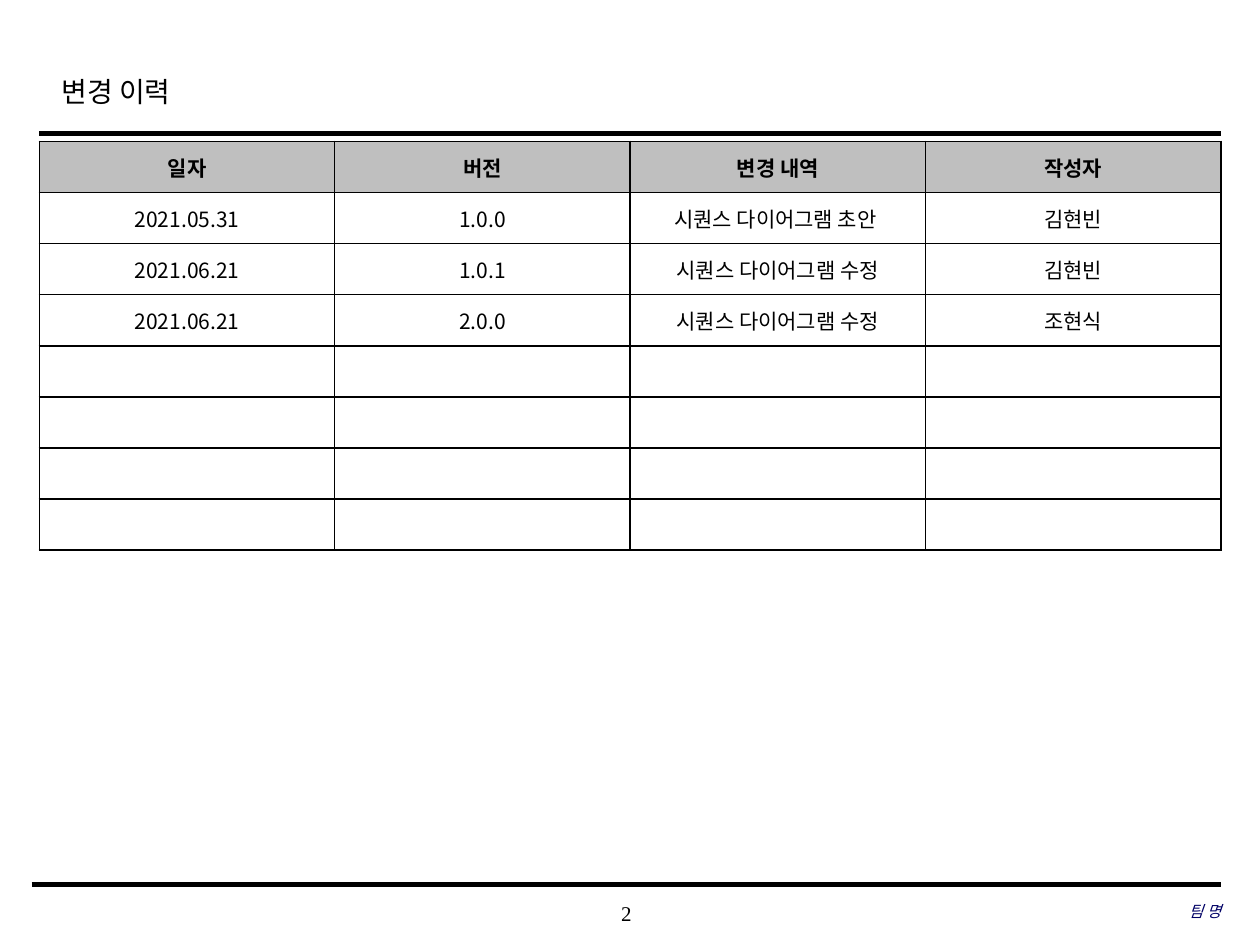
from dataclasses import dataclass

import pptx
import pptx.dml.color
import pptx.enum.shapes
import pptx.enum.text
import pptx.oxml
import pptx.oxml.ns
import pptx.util

Pt = pptx.util.Pt
RGBColor = pptx.dml.color.RGBColor
Align = pptx.enum.text.PP_ALIGN
Anchor = pptx.enum.text.MSO_ANCHOR

BLACK = RGBColor(0x00, 0x00, 0x00)
WHITE = RGBColor(0xFF, 0xFF, 0xFF)
GRAY = RGBColor(0xBF, 0xBF, 0xBF)
NAVY = RGBColor(0x00, 0x00, 0x66)
SERIF = "Times New Roman"
KOREAN = "Noto Sans CJK KR"
RULE_LEFT, RULE_RIGHT = 22.5, 697.7
COLUMN_WIDTH = (RULE_RIGHT - RULE_LEFT) / 4
ROW_HEIGHT = 29.2
BLANK_ROWS = 4


@dataclass
class Label:
    text: str
    left: float
    top: float
    width: float
    height: float
    size: float
    align: Align
    anchor: Anchor = Anchor.MIDDLE
    margins: tuple[float, float] = (0, 0)
    line_spacing: float = 1.0
    color: RGBColor = BLACK
    italic: bool = False


@dataclass
class Rule:
    left: float
    y: float
    width: float


LABELS = [
    Label("변경 이력", 28.1, 35.3, 543.6, 36, 16, Align.LEFT, Anchor.TOP, (7.2, 3.6), 1.2),
    Label("2", 283, 509.8, 149.8, 23.8, 12, Align.CENTER),
    Label("팀 명", 477.4, 509, 220.3, 23.8, 9, Align.RIGHT, color=NAVY, italic=True),
]
RULES = [Rule(RULE_LEFT, 76.3, 2.5), Rule(18, 505.4, 3)]
HISTORY = [
    ("일자", "버전", "변경 내역", "작성자"),
    ("2021.05.31", "1.0.0", "시퀀스 다이어그램 초안 ", "김현빈"),
    ("2021.06.21", "1.0.1", "시퀀스 다이어그램 수정", "김현빈"),
    ("2021.06.21", "2.0.0", "시퀀스 다이어그램 수정", "조현식"),
] + [("",) * 4] * BLANK_ROWS


def apply(target, values: dict) -> None:
    for name, value in values.items():
        setattr(target, name, value)


def add_span(para, text: str, color: RGBColor, values: dict) -> None:
    span = para.add_run()
    span.text = text
    apply(span.font, values)
    span.font.color.rgb = color
    east_asian = pptx.oxml.parse_xml(
        f'<a:ea {pptx.oxml.ns.nsdecls("a")} typeface="{KOREAN}"/>')
    span.font._element.find(pptx.oxml.ns.qn("a:latin")).addnext(east_asian)


def add_label(page, label: Label) -> None:
    box = page.shapes.add_textbox(
        Pt(label.left), Pt(label.top), Pt(label.width), Pt(label.height))
    side, end = map(Pt, label.margins)
    apply(box.text_frame, {
        "word_wrap": True, "vertical_anchor": label.anchor,
        "margin_left": side, "margin_right": side,
        "margin_top": end, "margin_bottom": end,
    })
    para = box.text_frame.paragraphs[0]
    apply(para, {"alignment": label.align, "line_spacing": label.line_spacing})
    add_span(para, label.text, label.color,
             {"name": SERIF, "size": Pt(label.size), "italic": label.italic})


def add_rule(page, rule: Rule) -> None:
    line = page.shapes.add_connector(
        pptx.enum.shapes.MSO_CONNECTOR.STRAIGHT,
        Pt(rule.left), Pt(rule.y), Pt(RULE_RIGHT), Pt(rule.y))
    line.line.width = Pt(rule.width)
    line.line.color.rgb = BLACK
    line._element.spPr.append(pptx.oxml.parse_xml(
        f'<a:effectLst {pptx.oxml.ns.nsdecls("a")}/>'))


def add_borders(cell) -> None:
    properties = cell._tc.get_or_add_tcPr()
    for index, side in enumerate("LRTB"):
        properties.insert(index, pptx.oxml.parse_xml(
            f'<a:ln{side} {pptx.oxml.ns.nsdecls("a")} w="{Pt(1)}">'
            f'<a:solidFill><a:srgbClr val="{BLACK}"/></a:solidFill></a:ln{side}>'))


def fill_cell(cell, text: str, is_header: bool) -> None:
    cell.fill.solid()
    cell.fill.fore_color.rgb = GRAY if is_header else WHITE
    cell.vertical_anchor = Anchor.MIDDLE
    add_borders(cell)
    para = cell.text_frame.paragraphs[0]
    para.alignment = Align.CENTER
    if text:
        add_span(para, text, BLACK,
                 {"name": KOREAN, "size": Pt(12), "bold": is_header})
    else:
        para._p.append(pptx.oxml.parse_xml(
            f'<a:endParaRPr {pptx.oxml.ns.nsdecls("a")} sz="1200"/>'))


def add_history(page, rows: list[tuple[str, ...]]) -> None:
    table = page.shapes.add_table(
        len(rows), len(rows[0]), Pt(RULE_LEFT), Pt(80.8),
        Pt(RULE_RIGHT - RULE_LEFT), Pt(ROW_HEIGHT * len(rows))).table
    apply(table, {"first_row": False, "horz_banding": False})
    for column in table.columns:
        column.width = Pt(COLUMN_WIDTH)
    for row_index, texts in enumerate(rows):
        table.rows[row_index].height = Pt(ROW_HEIGHT)
        for column_index, text in enumerate(texts):
            fill_cell(table.cell(row_index, column_index), text, row_index == 0)


def main() -> None:
    deck = pptx.Presentation()
    apply(deck, {"slide_width": Pt(720), "slide_height": Pt(540)})
    page = deck.slides.add_slide(deck.slide_layouts[6])
    for rule in RULES:
        add_rule(page, rule)
    for label in LABELS:
        add_label(page, label)
    add_history(page, HISTORY)
    deck.save("out.pptx")


if __name__ == "__main__":
    main()
